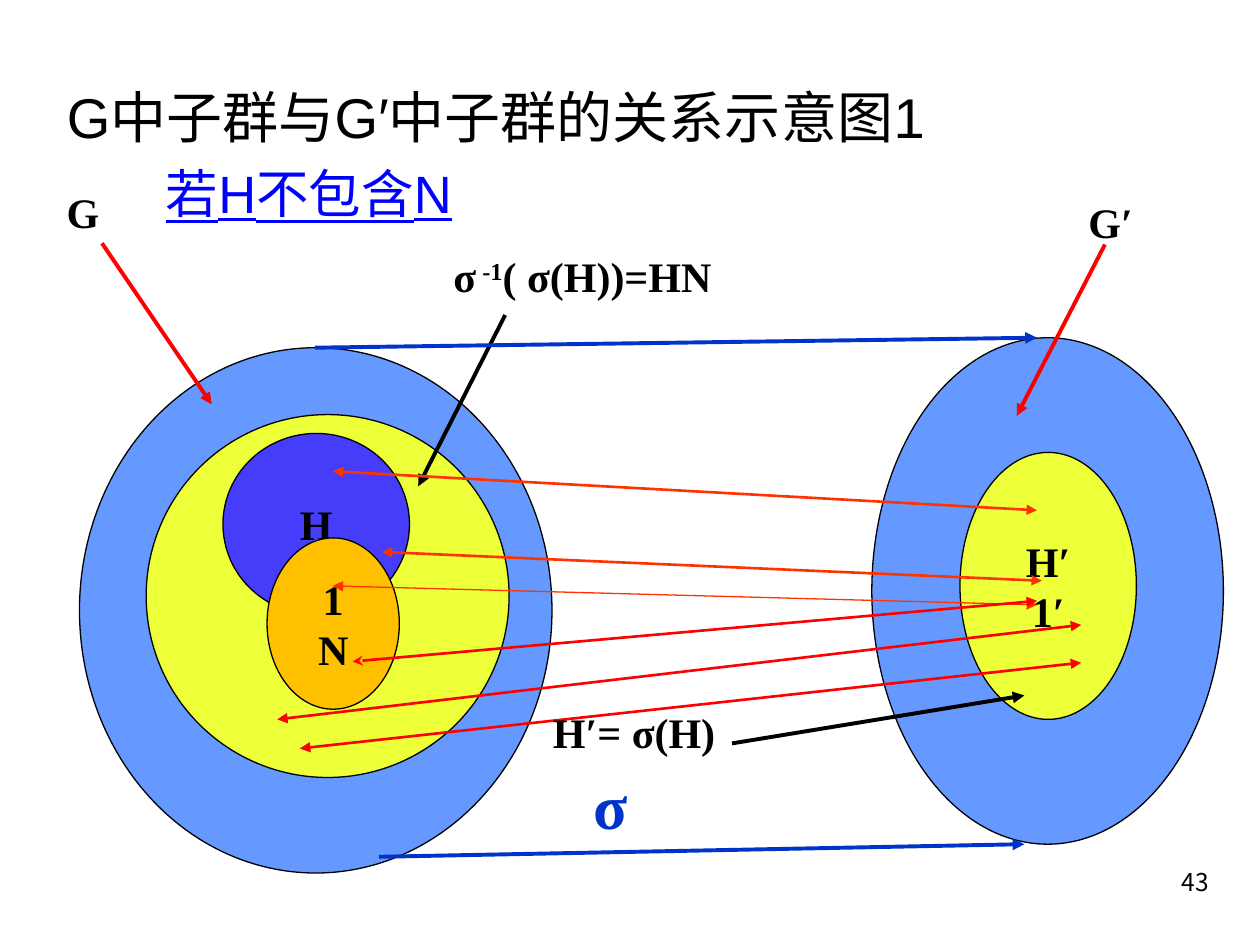
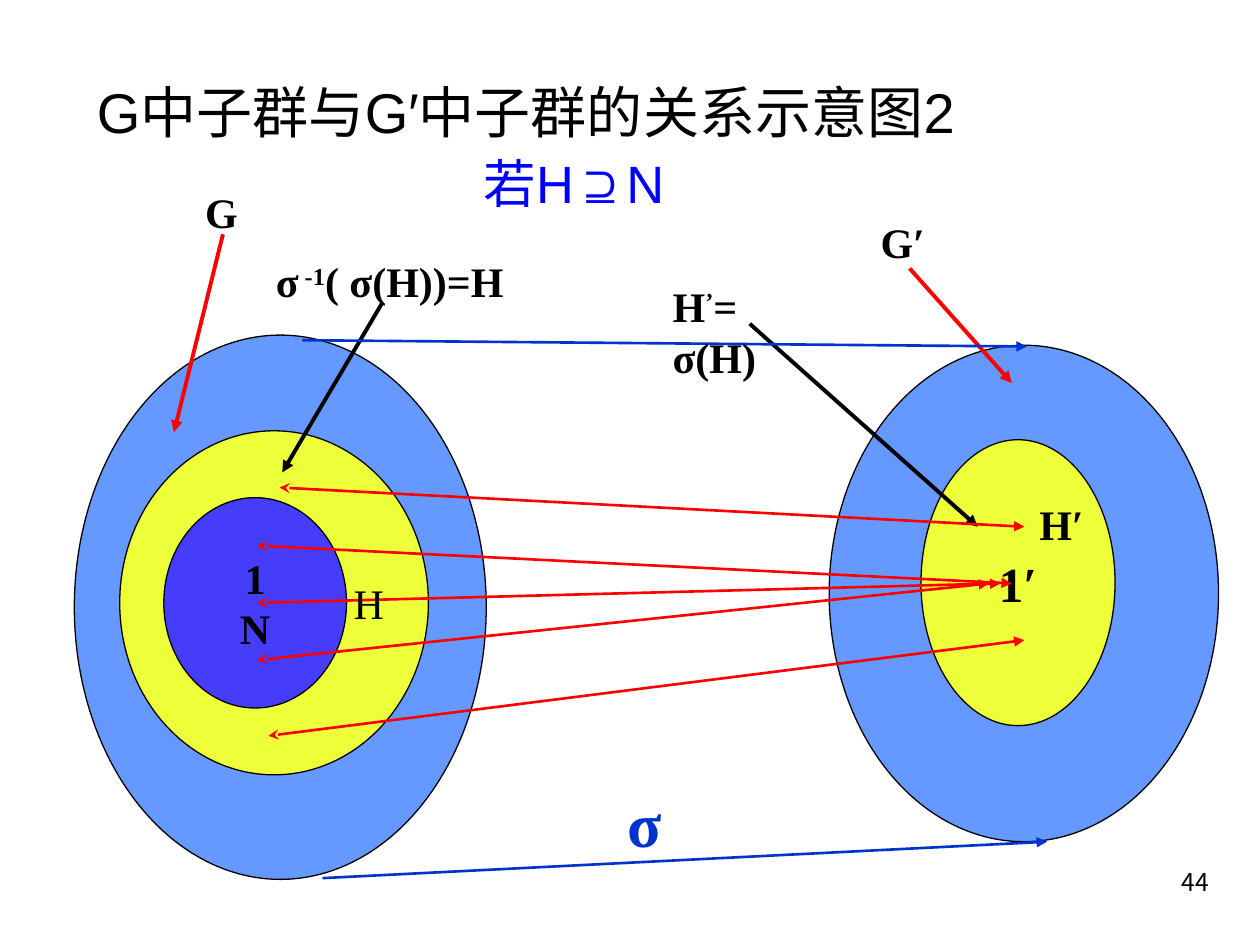
from lxml import etree
from pptx import Presentation
from pptx.dml.color import RGBColor
from pptx.enum.shapes import MSO_CONNECTOR, MSO_SHAPE
from pptx.enum.text import MSO_ANCHOR, PP_ALIGN
from pptx.oxml.ns import qn
from pptx.util import Pt

ELLIPSE = MSO_SHAPE.OVAL
STRAIGHT = MSO_CONNECTOR.STRAIGHT
MIDDLE = MSO_ANCHOR.MIDDLE
LEFT, CENTER, RIGHT = PP_ALIGN.LEFT, PP_ALIGN.CENTER, PP_ALIGN.RIGHT

COLORS = {
    "text": "000000",
    "group": "6699FF",
    "image": "ECFF39",
    "subgroup": "463DFB",
    "kernel": "FFC000",
    "pointer": "FF0000",
    "coset": "FF3300",
    "sigma": "0033CC",
    "condition": "0000FF",
}
SANS, SERIF, NUMBER_FONT = "Arial", "Times New Roman", "Noto Sans CJK KR"
DIAGRAM = (30, 80)            # left and top of the drawing area
PAGE_NUMBER_BOX = (548, 491.8, 149.8, 36)


def rgb(name):
    return RGBColor.from_string(COLORS[name])


def format_text(frame, size, font=SERIF, color="text", bold=False, align=LEFT):
    for paragraph in frame.paragraphs:
        paragraph.alignment = align
        for run in paragraph.runs:
            run.font.name = font
            run.font.size = Pt(size)
            run.font.bold = bold
            run.font.color.rgb = rgb(color)


def add_title(slide, box, text):
    title = slide.shapes.title
    title.left, title.top, title.width, title.height = map(Pt, box)
    title.text_frame.text = text
    title.text_frame.vertical_anchor = MIDDLE
    format_text(title.text_frame, 32, SANS)


def add_page_number(slide, number):
    frame = slide.shapes.add_textbox(*map(Pt, PAGE_NUMBER_BOX)).text_frame
    frame.word_wrap = True
    frame.text = str(number)
    format_text(frame, 14, NUMBER_FONT, align=RIGHT)


def add_label(slide, origin, place, text, size=24, raised="", rest="", bold=True, **style):
    """Text box at place (left, top, width); raised is a superscript before rest."""
    left, top, width = place
    frame = slide.shapes.add_textbox(
        Pt(origin[0] + left), Pt(origin[1] + top), Pt(width), Pt(size * 1.5)).text_frame
    frame.word_wrap = True
    frame.text = text
    if raised:
        superscript = frame.paragraphs[0].add_run()
        superscript.text = raised
        superscript._r.get_or_add_rPr().set("baseline", "30000")
        frame.paragraphs[0].add_run().text = rest
    format_text(frame, size, bold=bold, **style)
    return frame


def add_condition(slide, origin, place, text, underline=False):
    frame = add_label(slide, origin, place, text, 30, bold=False, font=SANS, color="condition")
    frame.paragraphs[0].runs[0].font.underline = underline


def add_group(slide, origin, box, subsets):
    """Outer ellipse of a group, with subsets placed relative to its corner."""
    left, top, width, height = box
    whole = ((0, 0, width, height), "group", "", 24)
    for (dx, dy, w, h), color, text, size in [whole] + subsets:
        ellipse = slide.shapes.add_shape(
            ELLIPSE, Pt(origin[0] + left + dx), Pt(origin[1] + top + dy), Pt(w), Pt(h))
        ellipse.shadow.inherit = False
        ellipse.fill.solid()
        ellipse.fill.fore_color.rgb = rgb(color)
        ellipse.line.color.rgb = rgb("text")
        ellipse.line.width = Pt(0.75)
        if text:
            frame = ellipse.text_frame
            frame.word_wrap = False
            frame.vertical_anchor = MIDDLE
            frame.text = text
            format_text(frame, size, bold=True, align=CENTER)


def add_arrow(slide, origin, ends, color, width=2.25, head=None):
    x1, y1, x2, y2 = ends
    left, top = origin
    arrow = slide.shapes.add_connector(
        STRAIGHT, Pt(left + x1), Pt(top + y1), Pt(left + x2), Pt(top + y2))
    arrow.line.color.rgb = rgb(color)
    arrow.line.width = Pt(width)
    outline = arrow.line._get_or_add_ln()
    if head:
        etree.SubElement(outline, qn("a:headEnd")).set("type", head)
    etree.SubElement(outline, qn("a:tailEnd")).set("type", "triangle")
    etree.SubElement(arrow._element.spPr, qn("a:effectLst"))


def build_not_containing(slide, origin):
    # Groups G and G′
    add_group(slide, origin, (15.4, 118.7, 270, 300.2), [
        ((38.1, 38.2, 207.4, 207.4), "image", "", 24),
        ((82, 49, 106.6, 103.7), "subgroup", "H", 24),
        ((107.2, 108.7, 75.6, 97.9), "kernel", "1\nN", 24),
    ])
    add_group(slide, origin, (468.2, 113, 200.9, 289.4), [
        ((50.4, 65.5, 100.8, 152.6), "image", "H′\n1′", 24),
    ])

    # Pointers from the labels
    for ends, color in [
        ((28.3, 59, 91, 151.1), "pointer"),
        ((258.7, 100, 209, 197.9), "text"),
        ((388.3, 344.8, 555.4, 317.4), "text"),
        ((601.4, 59.7, 551, 157.6), "pointer"),
    ]:
        add_arrow(slide, origin, ends, color)

    # Corresponding elements
    for ends, color, width, head in [
        ((160.1, 189.3, 562.6, 211.6), "coset", 1.5, "triangle"),
        ((188.2, 235.4, 565.4, 251.9), "coset", 1.5, "triangle"),
        ((160.1, 254.8, 562.6, 265.6), "coset", 0.75, "triangle"),
        ((128.4, 331.1, 587.8, 277.1), "pointer", 1.5, "triangle"),
        ((141.4, 347.7, 587.8, 298.7), "pointer", 1.5, "triangle"),
        ((171.6, 298, 562.6, 263.4), "pointer", 1.5, "stealth"),
    ]:
        add_arrow(slide, origin, ends, color, width, head)

    # Edges of the map σ
    for ends in [(150, 118.7, 562.6, 113), (186.7, 409.6, 555.4, 402.4)]:
        add_arrow(slide, origin, ends, "sigma")

    # Labels
    add_condition(slide, origin, (57.8, 8.6, 249.8), "若H不包含N", underline=True)
    add_label(slide, origin, (1, 23, 39.6), "G")
    add_label(slide, origin, (584.9, 28.7, 56.9), "G′")
    add_label(slide, origin, (222, 59.7, 198.7), "σ", raised=" -1", rest="( σ(H))=HN")
    add_label(slide, origin, (278.9, 320.3, 130.3), "H′= σ(H)")
    add_label(slide, origin, (301.9, 354.2, 81.4), "σ", 36, color="sigma")


def build_containing(slide, origin):
    # Groups G and G′
    add_group(slide, origin, (12.5, 111.5, 235.4, 311), [
        ((25.9, 54.7, 176.4, 196.6), "image", "", 24),
        ((51.1, 92.9, 104.4, 120.2), "subgroup", "1\nN", 24),
    ])
    add_group(slide, origin, (443.8, 117.3, 222.5, 283.7), [
        ((52.5, 54, 110.9, 163.4), "image", "1′", 28),
    ])

    # Pointers from the labels
    for ends, color in [
        ((97.4, 53.9, 69.4, 167), "pointer"),
        ((398.4, 105, 528.7, 221), "text"),
        ((489.8, 73.4, 548.2, 138.9), "pointer"),
        ((188.2, 93.5, 131.3, 190), "text"),
    ]:
        add_arrow(slide, origin, ends, color)

    # Elements of N all go to 1′, other elements of H to H′
    kernel_pairs = [(116.9, 231.8 + 32.7 * i, 548.2 - 6.5 * i, 253.4) for i in range(3)]
    subgroup_pairs = [(129.8, 198.6, 555.4, 221), (123.4, 340.5, 555.4, 285.8)]
    for ends in kernel_pairs + subgroup_pairs:
        add_arrow(slide, origin, ends, "pointer", 1.5, "stealth")

    # Edges of the map σ
    for ends in [(154.3, 421.8, 568.3, 401), (142.8, 114.4, 556.8, 118)]:
        add_arrow(slide, origin, ends, "sigma", 1.5)

    # Labels
    add_condition(slide, origin, (239.3, 2.8, 130.3), "若H⊇N")
    add_label(slide, origin, (80.2, 23, 45.4), "G")
    add_label(slide, origin, (466.1, 40.2, 56.9), "G′")
    add_label(slide, origin, (120.5, 62.6, 152.6), "σ", raised=" -1", rest="( σ(H))=H")
    add_label(slide, origin, (347.3, 77, 102.2), "H", raised="’", rest="= σ(H)")
    add_label(slide, origin, (165, 246.5, 40), "H", bold=False)
    add_label(slide, origin, (556.8, 201.5, 51.8), "H′")
    add_label(slide, origin, (321.4, 365, 40), "σ", 36, color="sigma")


def main():
    deck = Presentation()
    deck.slide_width, deck.slide_height = Pt(720), Pt(540)
    title_only = deck.slide_layouts[5]
    for number, title_box, title, build in [
        (43, (31, 31.7, 643, 69.8), "G中子群与G′中子群的关系示意图1", build_not_containing),
        (44, (48.2, 31.7, 631.4, 63.4), "G中子群与G′中子群的关系示意图2", build_containing),
    ]:
        slide = deck.slides.add_slide(title_only)
        add_title(slide, title_box, title)
        build(slide, DIAGRAM)
        add_page_number(slide, number)
    deck.save("out.pptx")


if __name__ == "__main__":
    main()
